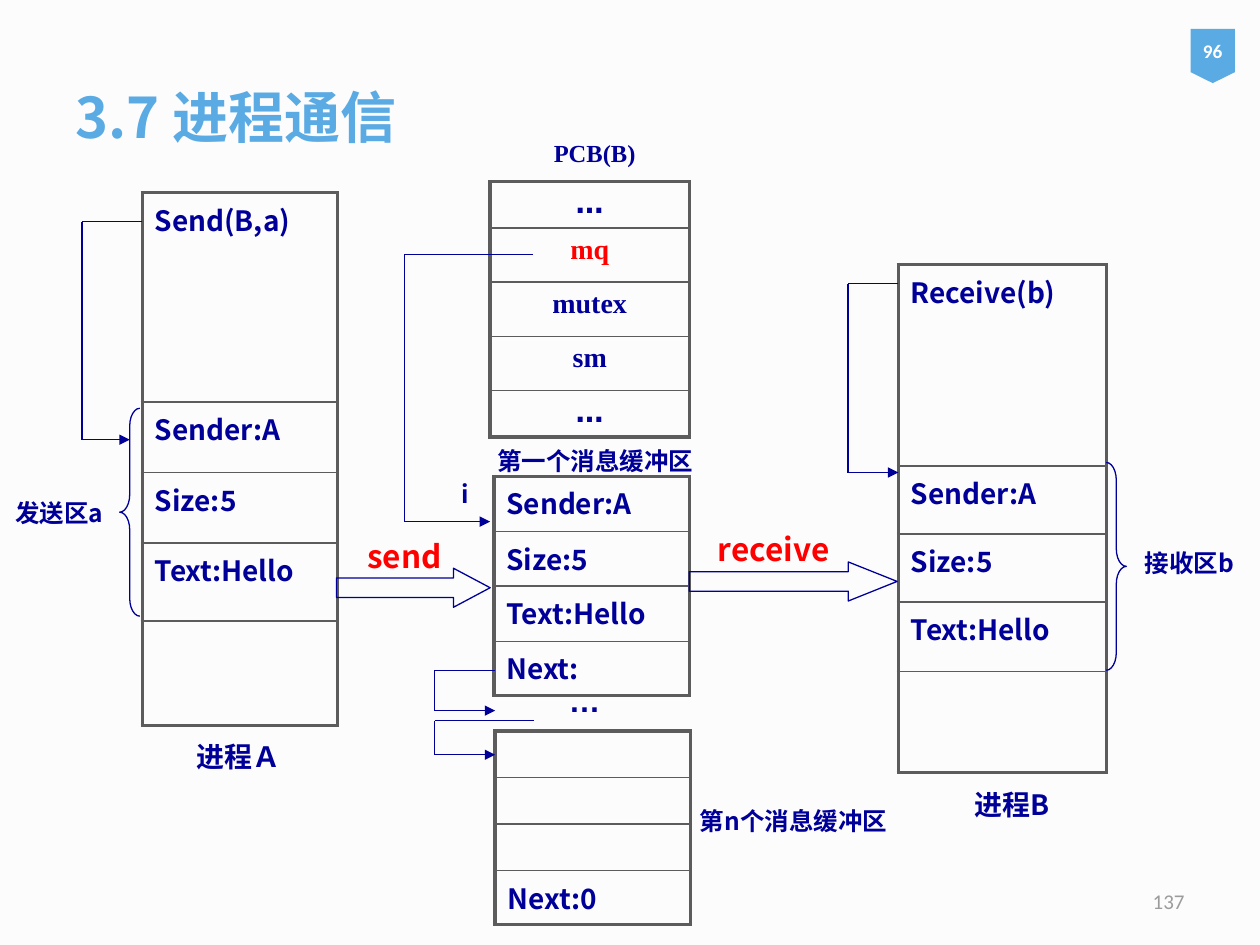
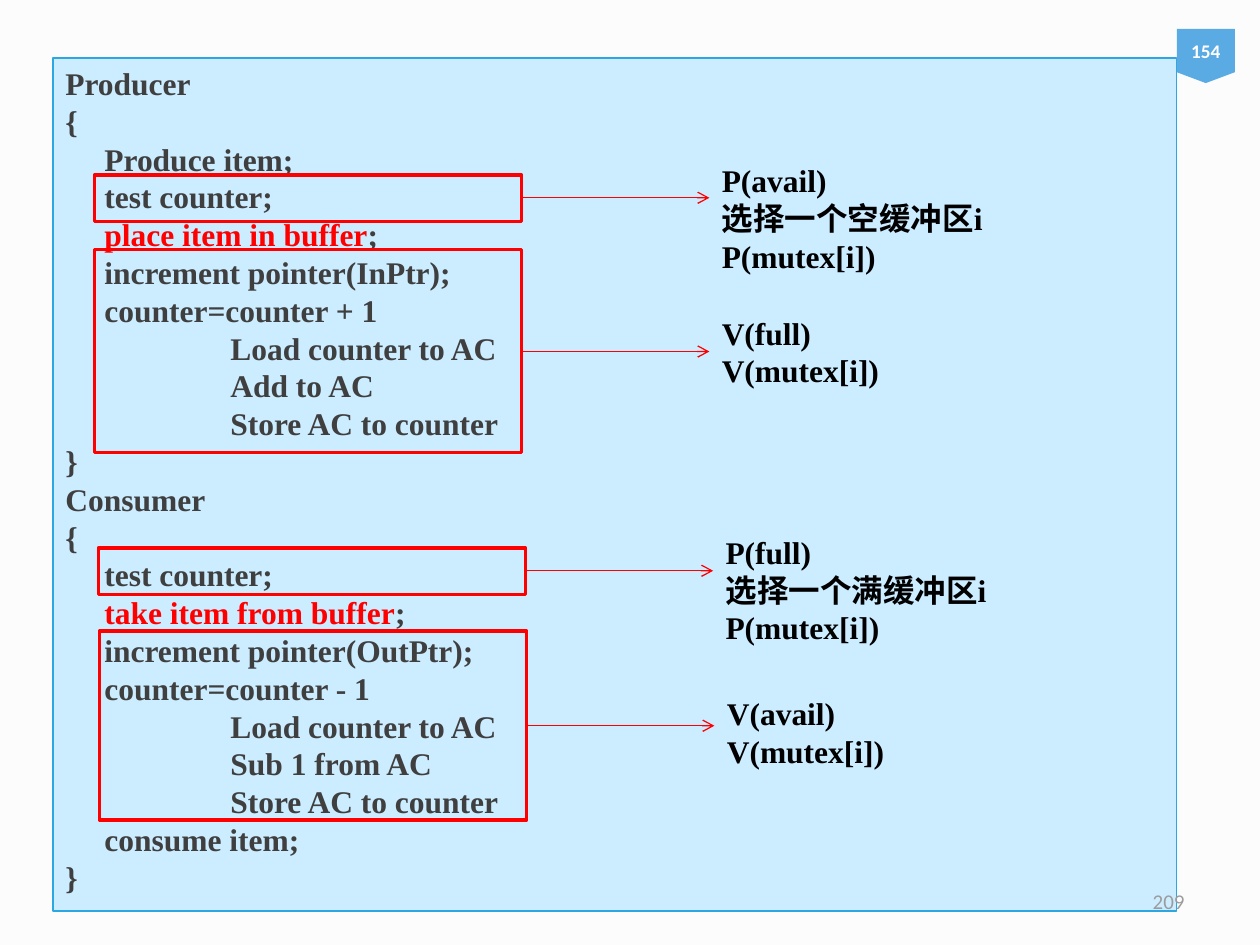
from dataclasses import dataclass

from lxml.etree import SubElement
from pptx import Presentation
from pptx.dml.color import RGBColor
from pptx.enum.shapes import MSO_CONNECTOR, MSO_SHAPE as Shape
from pptx.enum.text import MSO_ANCHOR as Anchor, PP_ALIGN as Align
from pptx.oxml.ns import qn
from pptx.util import Inches, Pt


@dataclass(frozen=True)
class Theme:
    paper: str = "FCFCFC"
    accent: str = "5AAAE4"
    navy: str = "000099"
    red: str = "FF0000"
    white: str = "FFFFFF"
    black: str = "000000"
    grid: str = "5C5C5C"
    code: str = "3F3F3F"
    panel: str = "CCECFF"
    panel_edge: str = "2DA7E1"
    number: str = "9C9C9C"
    cjk: str = "Noto Sans CJK SC"
    serif: str = "Times New Roman"
    footer: str = "Calibri"
    title_size: int = 32
    code_size: int = 18
    code_leading: float = 21.6
    action_size: int = 18
    cell_size: int = 16
    label_size: int = 14
    number_size: int = 12
    badge_size: int = 11
    hairline: float = 0.75
    inner: float = 1
    outer: float = 2.25
    frame: float = 2


THEME = Theme()


def rgb(value):
    return RGBColor.from_string(value)


def inches(*values):
    return [Inches(round(value, 2)) for value in values]


def style_runs(paragraph, size, color, face=THEME.cjk, bold=True):
    for run in paragraph.runs:
        run.font.size = Pt(size)
        run.font.bold = bold
        run.font.name = face
        run.font.color.rgb = rgb(color)
        SubElement(run.font._element, qn("a:ea"), typeface=THEME.cjk)


def add_label(slide, box, text, size=THEME.label_size, color=THEME.navy, face=THEME.cjk,
              align=Align.CENTER, anchor=Anchor.TOP, bold=True, leading=None):
    frame = slide.shapes.add_textbox(*inches(*box)).text_frame
    frame.word_wrap = True
    frame.vertical_anchor = anchor
    frame.text = text
    for paragraph in frame.paragraphs:
        paragraph.alignment = align
        if leading:
            paragraph.line_spacing = Pt(leading)
        style_runs(paragraph, size, color, face, bold)


def add_outline(slide, kind, box, fill=None, line=None, weight=THEME.hairline, adjust=()):
    shape = slide.shapes.add_shape(kind, *inches(*box))
    shape.shadow.inherit = False
    for index, value in enumerate(adjust):
        shape.adjustments[index] = value
    if fill:
        shape.fill.solid()
        shape.fill.fore_color.rgb = rgb(fill)
    else:
        shape.fill.background()
    if line:
        shape.line.color.rgb = rgb(line)
        shape.line.width = Pt(weight)
    else:
        shape.line.fill.background()
    return shape


def add_path(slide, left, top, points, color=THEME.navy, head="triangle"):
    placed = [(left + x, top + y) for x, y in points]
    for start, end in zip(placed, placed[1:]):
        segment = slide.shapes.add_connector(MSO_CONNECTOR.STRAIGHT, *inches(*start, *end))
        segment.line.color.rgb = rgb(color)
        segment.line.width = Pt(THEME.hairline)
        properties = segment.element.spPr
        if end == placed[-1]:
            SubElement(properties.find(qn("a:ln")), qn("a:tailEnd"), type=head)
        SubElement(properties, qn("a:effectLst"))


def border_cell(cell, is_first, is_last):
    properties = cell._tc.get_or_add_tcPr()
    edges = {"L": True, "R": True, "T": is_first, "B": is_last}
    for side, is_outer in edges.items():
        weight = THEME.outer if is_outer else THEME.inner
        line = SubElement(properties, qn(f"a:ln{side}"), w=str(Pt(weight)))
        fill = SubElement(line, qn("a:solidFill"))
        SubElement(fill, qn("a:srgbClr"), val=THEME.grid)
    cell.fill.background()


def add_memory(slide, left, top, width, heights, fields, align=Align.LEFT,
               faces=None, colors=None):
    box = inches(left, top, width, sum(heights))
    table = slide.shapes.add_table(len(heights), 1, *box).table
    table.first_row = table.horz_banding = False
    table.columns[0].width = Inches(width)
    for index, (height, field) in enumerate(zip(heights, fields)):
        table.rows[index].height = Inches(height)
        cell = table.cell(index, 0)
        border_cell(cell, index == 0, index == len(heights) - 1)
        if not field:
            cell.margin_top = cell.margin_bottom = 0
            continue
        cell.text = field
        paragraph = cell.text_frame.paragraphs[0]
        paragraph.alignment = align
        style_runs(paragraph, THEME.cell_size, (colors or {}).get(field, THEME.navy),
                   (faces or {}).get(field, THEME.cjk))


def add_page_marks(slide, badge, badge_left, page):
    tag = add_outline(slide, Shape.FLOWCHART_OFFPAGE_CONNECTOR,
                      (badge_left, 0.23, 9.8 - badge_left, 0.43), THEME.accent)
    frame = tag.text_frame
    frame.margin_left = frame.margin_right = 0
    frame.vertical_anchor = Anchor.MIDDLE
    frame.text = badge
    frame.paragraphs[0].alignment = Align.CENTER
    style_runs(frame.paragraphs[0], THEME.badge_size, THEME.white, THEME.footer)
    add_label(slide, (7.17, 6.95, 2.33, 0.4), page, THEME.number_size, THEME.number,
              THEME.footer, Align.RIGHT, Anchor.MIDDLE, False)


def add_title(slide, text):
    title = slide.shapes.title
    title.left, title.top, title.width, title.height = inches(0.5, 0.3, 9, 1.25)
    frame = title.text_frame
    frame.vertical_anchor = Anchor.MIDDLE
    frame.text = text
    frame.paragraphs[0].alignment = Align.LEFT
    style_runs(frame.paragraphs[0], THEME.title_size, THEME.accent)


def add_process(slide, left, top, width, heights, call, hook, brace, brace_at, area, area_at,
                name, name_at):
    add_memory(slide, left, top, width, heights,
               [call, "Sender:A", "Size:5", "Text:Hello", ""])
    add_path(slide, left, top, hook)
    brace_x, brace_y = brace_at
    add_outline(slide, brace, (left + brace_x, top + brace_y, 0.16, 1.65),
                line=THEME.navy, adjust=(0.88, 0.5))
    area_x, area_y = area_at
    add_label(slide, (left + area_x, top + area_y, 1.02, 0.33), area)
    name_x, name_y = name_at
    add_label(slide, (left + name_x, top + name_y, 1.02, 0.37), name, THEME.cell_size)


def add_control_block(slide, left, top):
    fields = ["…", "mq", "mutex", "sm", "…"]
    faces = dict.fromkeys(fields, THEME.serif) | {"…": "DejaVu Sans"}
    add_label(slide, (left + 0.32, top - 0.39, 1.02, 0.33), "PCB(B)", face=THEME.serif)
    add_memory(slide, left, top, 1.58, [0.37, 0.43, 0.43, 0.43, 0.37], fields,
               Align.CENTER, faces, {"mq": THEME.red})
    add_path(slide, left, top, [(0.34, 0.58), (-0.68, 0.58), (-0.68, 2.7), (0, 2.7)])
    add_label(slide, (left - 0.71, top + 2.31, 1.02, 0.33), "i")


def add_message_queue(slide, left, top):
    add_label(slide, (left - 0.1, top - 0.29, 1.81, 0.33), "第一个消息缓冲区")
    add_memory(slide, left, top, 1.55, [0.44, 0.43, 0.44, 0.43],
               ["Sender:A", "Size:5", "Text:Hello", "Next:"])
    add_memory(slide, left + 0.01, top + 2.02, 1.55, [0.37, 0.37, 0.37, 0.43],
               ["", "", "", "Next:0"])
    add_label(slide, (left + 1.28, top + 2.57, 2.2, 0.34), "第n个消息缓冲区")
    add_label(slide, (left + 0.21, top + 1.58, 1.02, 0.4), "…", THEME.action_size, face="Arial")
    for start_x, start_y, end_y in [(0.01, 1.54, 1.86), (0.32, 1.94, 2.21)]:
        add_path(slide, left, top,
                 [(start_x, start_y), (-0.47, start_y), (-0.47, end_y), (0.01, end_y)])


def add_transfer(slide, left, top, width, head, text, text_x, text_width):
    add_outline(slide, Shape.RIGHT_ARROW, (left, top, width, 0.31),
                line=THEME.navy, adjust=(0.5, head))
    add_label(slide, (left + text_x, top - 0.3, text_width, 0.4), text,
              THEME.action_size, THEME.red)


def build_communication(slide):
    add_title(slide, "3.7 进程通信")
    add_process(slide, 1.13, 1.53, 1.55, [1.66, 0.56, 0.56, 0.62, 0.83], "Send(B,a)",
                [(0, 0.23), (-0.48, 0.23), (-0.48, 1.96), (-0.1, 1.96)],
                Shape.LEFT_BRACE, (-0.18, 1.71), "发送区a", (-1.17, 2.37),
                "进程Ａ", (0.25, 4.29))
    add_process(slide, 7.13, 2.1, 1.65, [1.6, 0.54, 0.54, 0.55, 0.8], "Receive(b)",
                [(0, 0.15), (-0.4, 0.15), (-0.4, 1.65), (0, 1.65)],
                Shape.RIGHT_BRACE, (1.65, 1.57), "接收区b", (1.8, 2.2),
                "进程B", (0.39, 4.1))
    add_control_block(slide, 3.89, 1.44)
    add_message_queue(slide, 3.92, 3.78)
    add_transfer(slide, 2.67, 4.51, 1.22, 0.94, "send", 0.03, 1.02)
    add_transfer(slide, 5.47, 4.46, 1.65, 1.25, "receive", 0.08, 1.18)
    add_page_marks(slide, "96", 9.45, "137")


PROGRAM = [
    (0, "Producer"), (0, "{"), (1, "Produce item;"), (1, "test counter;"),
    (1, "place item in buffer;"), (1, "increment pointer(InPtr);"),
    (1, "counter=counter + 1"), (2, "Load counter to AC"), (2, "Add to AC"),
    (2, "Store AC to counter"), (0, "}"), (0, "Consumer"), (0, "{"),
    (1, "test counter;"), (1, "take item from buffer;"),
    (1, "increment pointer(OutPtr);"), (1, "counter=counter - 1"),
    (2, "Load counter to AC"), (2, "Sub 1 from AC"), (2, "Store AC to counter"),
    (1, "consume item;"), (0, "}"),
]
CRITICAL = ("place item in buffer;", "take item from buffer;")
INDENTS = (0, 0.31, 1.31)


def add_program(slide, box):
    panel = add_outline(slide, Shape.RECTANGLE, box, THEME.panel, THEME.panel_edge)
    frame = panel.text_frame
    frame.vertical_anchor = Anchor.TOP
    frame.text = "\n".join(statement for _, statement in PROGRAM)
    for paragraph, (level, statement) in zip(frame.paragraphs, PROGRAM):
        paragraph.alignment = Align.LEFT
        paragraph.line_spacing = Pt(THEME.code_leading)
        paragraph._p.get_or_add_pPr().set("marL", str(Inches(INDENTS[level])))
        if statement in CRITICAL:
            paragraph.runs[0].text = statement[:-1]
            paragraph.add_run().text = ";"
        style_runs(paragraph, THEME.code_size, THEME.code, THEME.serif)
        if statement in CRITICAL:
            paragraph.runs[0].font.color.rgb = rgb(THEME.red)


def add_replacement(slide, left, top, height, operations, rise=0.35):
    width, reach = 3.39, 1.49
    middle = height / 2
    add_outline(slide, Shape.RECTANGLE, (left, top, width, height),
                line=THEME.red, weight=THEME.frame)
    add_path(slide, left, top, [(width, middle), (width + reach, middle)], THEME.red, "arrow")
    add_label(slide, (left + width + reach, top + middle - rise, 2.52,
                      0.1 + 0.3 * len(operations)),
              "\n".join(operations), THEME.code_size, THEME.black, THEME.serif,
              Align.LEFT, leading=THEME.code_leading)


def build_producer_consumer(slide):
    add_program(slide, (0.42, 0.46, 8.92, 6.77))
    add_replacement(slide, 0.75, 1.39, 0.37, ["P(avail)", "选择一个空缓冲区i", "P(mutex[i])"])
    add_replacement(slide, 0.75, 1.98, 1.61, ["V(full)", "V(mutex[i])"])
    add_replacement(slide, 0.78, 4.35, 0.37, ["P(full)", "选择一个满缓冲区i", "P(mutex[i])"])
    add_replacement(slide, 0.79, 5.01, 1.5, ["V(avail)", "V(mutex[i])"], rise=0.3)
    add_page_marks(slide, "154", 9.34, "209")


def main():
    deck = Presentation()
    deck.slide_width, deck.slide_height = inches(10, 7.5)
    paper = deck.slide_master.background.fill
    paper.solid()
    paper.fore_color.rgb = rgb(THEME.paper)
    title_only, blank = deck.slide_layouts[5], deck.slide_layouts[6]
    build_communication(deck.slides.add_slide(title_only))
    build_producer_consumer(deck.slides.add_slide(blank))
    deck.save("out.pptx")


if __name__ == "__main__":
    main()
